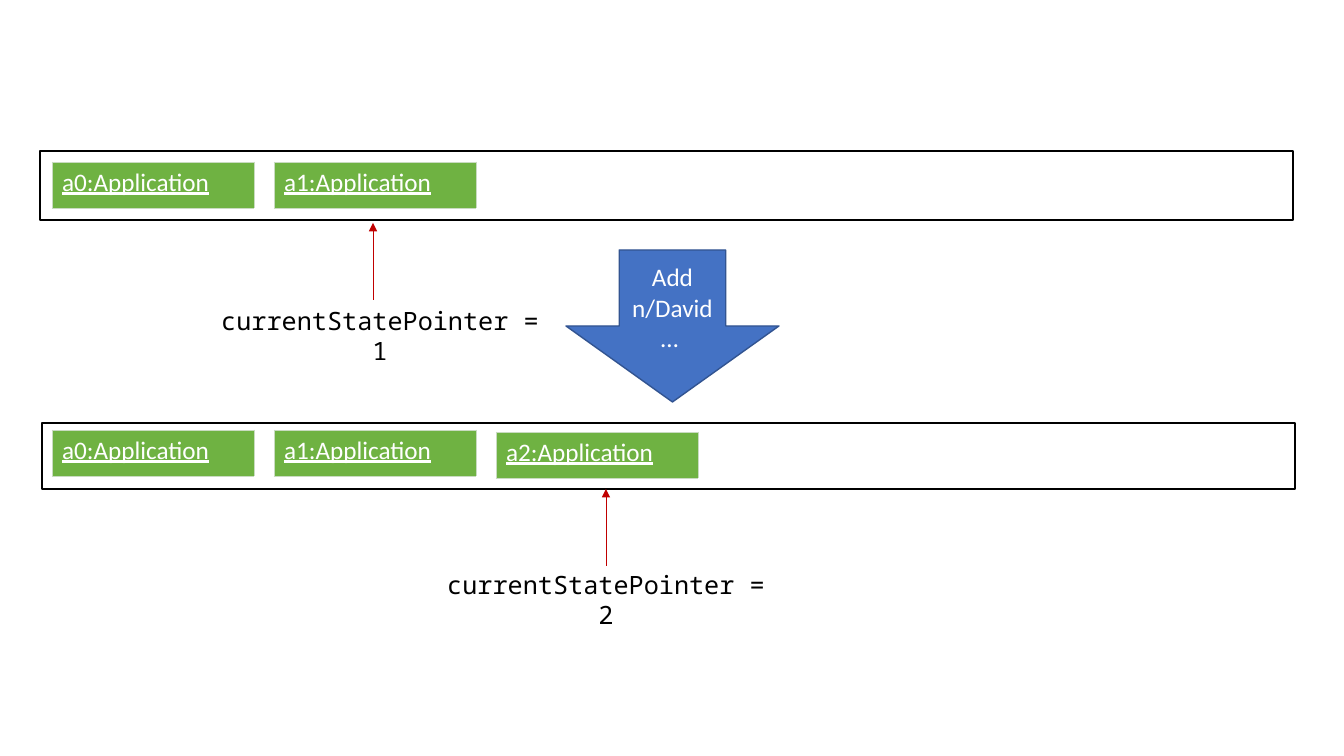
from dataclasses import dataclass

import pptx
import pptx.dml.color
import pptx.enum.shapes
import pptx.enum.text
import pptx.oxml
import pptx.oxml.ns
import pptx.util

EMU_PER_PIXEL = 914400 / 100.8
COLORS = {
    "state": "6FB242", "state_border": "C9DBC1", "command": "4472C4",
    "command_border": "325491", "pointer": "C00000", "dark": "000000", "light": "FFFFFF",
}
STATE_LEFT, STATE_PITCH, STATE_WIDTH, STATE_HEIGHT = 52, 222, 202, 46
LABEL_WIDTH, LABEL_HEIGHT, POINTER_LENGTH = 354, 40, 77
SHAPES = pptx.enum.shapes.MSO_SHAPE
CENTER = pptx.enum.text.PP_ALIGN.CENTER


@dataclass(frozen=True)
class History:
    """A list of saved states with the pointer to the current one."""
    frame: tuple[int, int, int, int]
    state_tops: list[int]
    pointer_x: int
    pointer_tip: int
    label_left: int
    label_top: int
    current: int


HISTORIES = [
    History((40, 151, 1253, 69), [162, 162], 373, 223, 203, 300, 1),
    History((42, 423, 1253, 66), [430, 430, 432], 606, 489, 429, 564, 2),
]


def px(*pixels: int) -> list[pptx.util.Emu]:
    return [pptx.util.Emu(round(pixel * EMU_PER_PIXEL)) for pixel in pixels]


def rgb(name: str) -> pptx.dml.color.RGBColor:
    return pptx.dml.color.RGBColor.from_string(COLORS[name])


def write(frame, text: str, *, color="light", font="Calibri", align=None, underline=None) -> None:
    frame.word_wrap = True
    paragraph = frame.paragraphs[0]
    paragraph.alignment = align
    run = paragraph.add_run()
    run.text = text
    run.font.name, run.font.size = font, pptx.util.Pt(18)
    run.font.color.rgb, run.font.underline = rgb(color), underline


def draw_shape(kind, box: tuple[int, int, int, int], line: str, fill: str | None = None):
    shape = slide.shapes.add_shape(kind, *px(*box))
    shape.shadow.inherit = False
    if fill:
        shape.fill.solid()
        shape.fill.fore_color.rgb = rgb(fill)
    else:
        shape.fill.background()
    shape.line.color.rgb, shape.line.width = rgb(line), pptx.util.Pt(1)
    return shape


def draw_state(index: int, top: int) -> None:
    left = STATE_LEFT + index * STATE_PITCH
    table = slide.shapes.add_table(1, 1, *px(left, top, STATE_WIDTH, STATE_HEIGHT)).table
    table.first_row = table.horz_banding = False
    cell = table.cell(0, 0)
    write(cell.text_frame, f"a{index}:Application", underline=True)
    properties = cell._tc.get_or_add_tcPr()
    for side in ("lnL", "lnR", "lnT", "lnB"):
        properties.append(pptx.oxml.parse_xml(
            f'<a:{side} {pptx.oxml.ns.nsdecls("a")} w="6350"><a:solidFill>'
            f'<a:srgbClr val="{COLORS["state_border"]}"/></a:solidFill></a:{side}>'))
    cell.fill.solid()
    cell.fill.fore_color.rgb = rgb("state")


def draw_pointer(x: int, tip: int) -> None:
    pointer = slide.shapes.add_connector(
        pptx.enum.shapes.MSO_CONNECTOR.STRAIGHT, *px(x, tip + POINTER_LENGTH, x, tip))
    pointer.line.color.rgb, pointer.line.width = rgb("pointer"), pptx.util.Pt(0.5)
    namespace = pptx.oxml.ns.nsdecls("a")
    pointer.line._get_or_add_ln().append(
        pptx.oxml.parse_xml(f'<a:tailEnd {namespace} type="triangle"/>'))
    pointer._element.spPr.append(pptx.oxml.parse_xml(f"<a:effectLst {namespace}/>"))


def draw_label(left: int, top: int, current: int) -> None:
    label = slide.shapes.add_textbox(*px(left, top, LABEL_WIDTH, LABEL_HEIGHT)).text_frame
    write(label, f"currentStatePointer = {current}", color="dark",
          font="Noto Sans Mono", align=CENTER)
    label.auto_size = pptx.enum.text.MSO_AUTO_SIZE.SHAPE_TO_FIT_TEXT


def draw_history(history: History) -> None:
    draw_shape(SHAPES.RECTANGLE, history.frame, "dark")
    for index, top in enumerate(history.state_tops):
        draw_state(index, top)
    draw_label(history.label_left, history.label_top, history.current)
    draw_pointer(history.pointer_x, history.pointer_tip)


deck = pptx.Presentation()
deck.slide_width, deck.slide_height = px(1344, 756)
slide = deck.slides.add_slide(deck.slide_layouts.get_by_name("Blank"))

# Command that leads from one history to the next
command = draw_shape(SHAPES.DOWN_ARROW, (566, 250, 213, 152), "command_border", "command")
write(command.text_frame, "Add n/David… ", align=CENTER)
command.text_frame.vertical_anchor = pptx.enum.text.MSO_ANCHOR.MIDDLE

# Histories before and after the command
for history in HISTORIES:
    draw_history(history)

deck.save("out.pptx")
